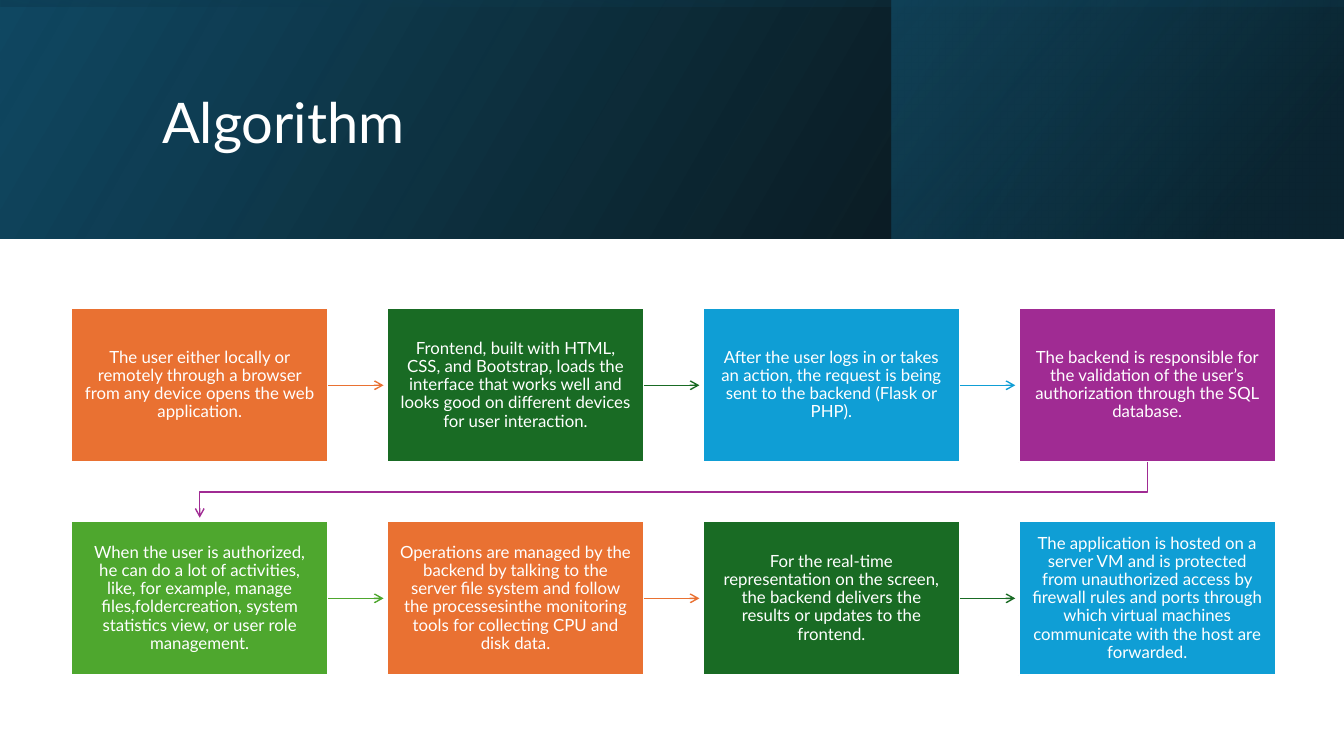
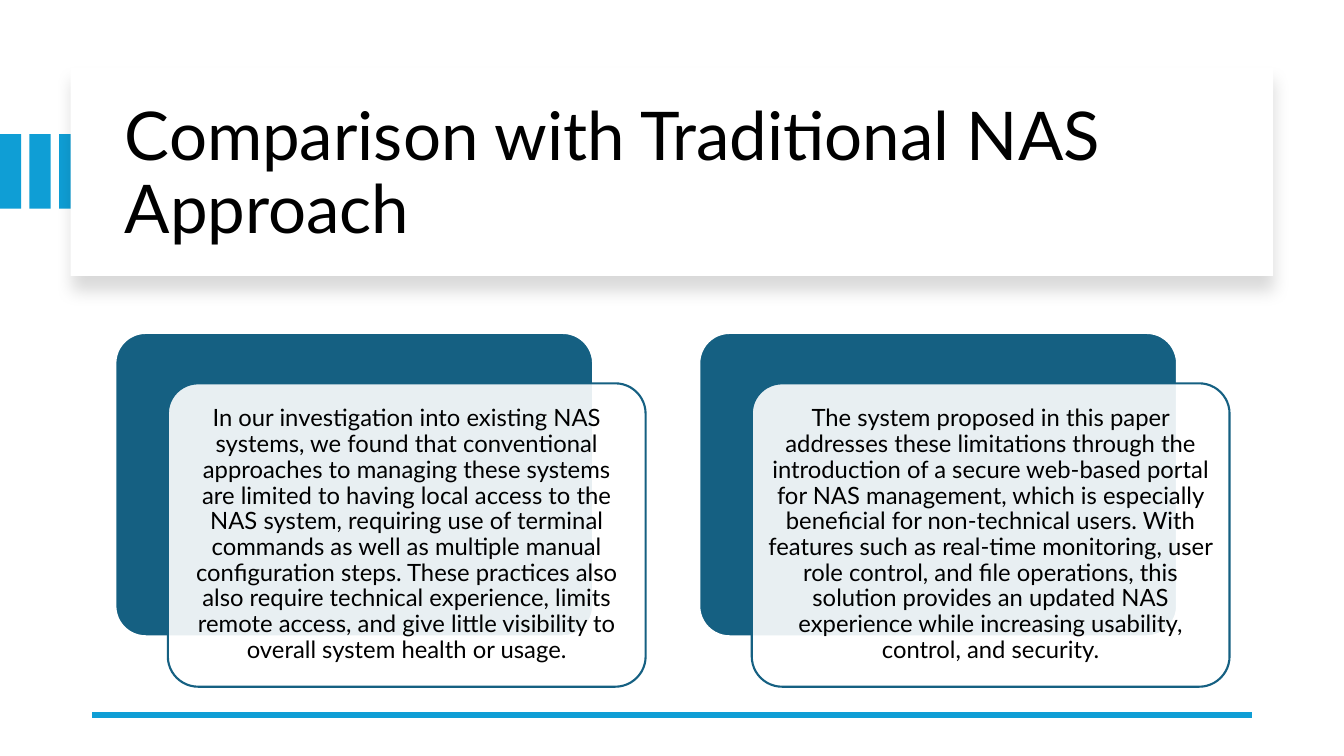
import pptx
import pptx.dml.color
import pptx.enum.shapes
import pptx.enum.text
import pptx.oxml
import pptx.oxml.ns
import pptx.util
from lxml import etree

Pt = pptx.util.Pt
SHAPES = pptx.enum.shapes.MSO_SHAPE
ALIGN = pptx.enum.text.PP_ALIGN
ANCHOR = pptx.enum.text.MSO_ANCHOR
qn = pptx.oxml.ns.qn

FONT = "Lato"
SLIDE_WIDTH, SLIDE_HEIGHT = 960, 540
COLORS = {
    "white": "FFFFFF", "black": "000000", "navy": "104862", "ink": "0B3041",
    "teal": "156082", "orange": "E97132", "forest": "196B24", "blue": "0F9ED5",
    "purple": "A02B93", "green": "4EA72E",
}

# Content
ALGORITHM_TITLE = "Algorithm"
STEPS = [
    ("orange", "The user either locally or remotely through a browser from any device "
               "opens the web application."),
    ("forest", "Frontend, built with HTML, CSS, and Bootstrap, loads the interface that "
               "works well and looks good on different devices for user interaction."),
    ("blue", "After the user logs in or takes an action, the request is being sent to "
             "the backend (Flask or PHP)."),
    ("purple", "The backend is responsible for the validation of the user’s "
               "authorization through the SQL database."),
    ("green", "When the user is authorized, he can do a lot of activities, like, for "
              "example, manage files,foldercreation, system statistics view, or user "
              "role management."),
    ("orange", "Operations are managed by the backend by talking to the server file "
               "system and follow the processesinthe monitoring tools for collecting "
               "CPU and disk data."),
    ("forest", "For the real-time representation on the screen, the backend delivers "
               "the results or updates to the frontend."),
    ("blue", "The application is hosted on a server VM and is protected from "
             "unauthorized access by firewall rules and ports through which virtual "
             "machines communicate with the host are forwarded."),
]
COMPARISON_TITLE = "Comparison with Traditional NAS Approach"
APPROACHES = [
    "In our investigation into existing NAS systems, we found that conventional "
    "approaches to managing these systems are limited to having local access to the "
    "NAS system, requiring use of terminal commands as well as multiple manual "
    "configuration steps. These practices also also require technical experience, "
    "limits remote access, and give little visibility to overall system health or usage.",
    "The system proposed in this paper addresses these limitations through the "
    "introduction of a secure web-based portal for NAS management, which is especially "
    "beneficial for non-technical users. With features such as real-time monitoring, "
    "user role control, and file operations, this solution provides an updated NAS "
    "experience while increasing usability, control, and security.",
]

# Header layers: left, top, width, height, rotation, gradient angle,
# then stops of (position, colour, opacity)
HEADER_HEIGHT = 170.7
SIDEWAYS = (SLIDE_WIDTH - HEADER_HEIGHT) / 2
HEADER_LAYERS = [
    (0, 0, SLIDE_WIDTH, HEADER_HEIGHT, 0, 330, [(0, "black", 96), (100, "navy", 100)]),
    (636.6, 0, 322.8, HEADER_HEIGHT, 0, 320, [(19, "ink", 68), (100, "teal", 48)]),
    (SIDEWAYS, -SIDEWAYS, HEADER_HEIGHT, SLIDE_WIDTH, 270, 350,
     [(23, "navy", 16), (99, "black", 45)]),
]
# The base layer fades to a fully opaque colour
OPAQUE = 100


def rgb(name):
    return pptx.dml.color.RGBColor.from_string(COLORS[name])


def set_opacity(color_element, percent):
    if percent < OPAQUE:
        alpha = etree.SubElement(color_element, qn("a:alpha"))
        alpha.set("val", str(percent * 1000))


def add_box(slide, left, top, width, height, fill=None, line=None, line_width=1.5,
            kind=SHAPES.RECTANGLE, opacity=OPAQUE):
    shape = slide.shapes.add_shape(kind, Pt(left), Pt(top), Pt(width), Pt(height))
    shape.shadow.inherit = False
    if fill:
        shape.fill.solid()
        shape.fill.fore_color.rgb = rgb(fill)
        set_opacity(shape.element.spPr.find(qn("a:solidFill"))[0], opacity)
    if line:
        shape.line.color.rgb = rgb(line)
        shape.line.width = Pt(line_width)
    else:
        shape.line.fill.background()
    return shape


def write_text(shape, text, size=12, color="white", align=ALIGN.CENTER, insets=(7.2, 3.6)):
    frame = shape.text_frame
    frame.word_wrap = True
    frame.vertical_anchor = ANCHOR.MIDDLE
    frame.margin_left = frame.margin_right = Pt(insets[0])
    frame.margin_top = frame.margin_bottom = Pt(insets[1])
    paragraph = frame.paragraphs[0]
    paragraph.alignment = align
    paragraph.line_spacing = 0.9
    run = paragraph.add_run()
    run.text = text
    run.font.name = FONT
    run.font.size = Pt(size)
    run.font.color.rgb = rgb(color)


def add_title(slide, text, left, top, width, height, size, color):
    title = slide.shapes.add_textbox(Pt(left), Pt(top), Pt(width), Pt(height))
    write_text(title, text, size=size, color=color, align=ALIGN.LEFT)


def add_line(slide, start, end, color, width):
    line = slide.shapes.add_connector(
        pptx.enum.shapes.MSO_CONNECTOR.STRAIGHT, *(Pt(value) for value in start + end))
    line.line.color.rgb = rgb(color)
    line.line.width = Pt(width)
    etree.SubElement(line.element.spPr, qn("a:effectLst"))
    return line


def add_arrowhead(shape):
    outline = shape.element.spPr.find(qn("a:ln"))
    etree.SubElement(outline, qn("a:tailEnd")).set("type", "arrow")


def add_gradient_layer(slide, left, top, width, height, rotation, angle, stops):
    layer = add_box(slide, left, top, width, height)
    layer.rotation = rotation
    layer.element.spPr.find(qn("a:xfrm")).set("flipH", "1")
    layer.fill.gradient()
    layer.fill.gradient_angle = 360 - angle
    elements = layer.element.spPr.iter(qn("a:gs"))
    for stop, element, (position, color, opacity) in zip(
            layer.fill.gradient_stops, elements, stops):
        stop.position = position / 100
        stop.color.rgb = rgb(color)
        set_opacity(element[0], opacity)


def add_soft_shadow(shape, opacity, blur, distance):
    effects = shape.element.spPr.find(qn("a:effectLst"))
    shadow = etree.SubElement(effects, qn("a:outerShdw"), blurRad=str(Pt(blur)),
                              dist=str(Pt(distance)), dir="5400000", rotWithShape="0")
    color = etree.SubElement(shadow, qn("a:srgbClr"), val=COLORS["black"])
    set_opacity(color, opacity)


def build_algorithm(slide):
    for layer in HEADER_LAYERS:
        add_gradient_layer(slide, *layer)
    add_title(slide, ALGORITHM_TITLE, 108.7, 27.4, 765.4, 123.8, 40, "white")

    # Step grid, with an arrow from each step to the next
    columns, left, top = 4, 51, 220.2
    width, height, column_pitch, row_pitch = 183.4, 110, 225.6, 152.2
    arrow_length = 39.6
    for index, (color, text) in enumerate(STEPS):
        row, column = divmod(index, columns)
        x, y = left + column * column_pitch, top + row * row_pitch
        step = add_box(slide, x, y, width, height, fill=color, line="white")
        write_text(step, text, insets=(9, 9.4))
        if index == len(STEPS) - 1:
            continue
        if column < columns - 1:
            middle = y + height / 2
            arrow = add_line(slide, (x + width, middle),
                             (x + width + arrow_length, middle), color, 1)
            arrow.begin_connect(step, 3)
        else:
            # Step down to the start of the next row
            center, first_center = x + width / 2, left + width / 2
            bottom, next_top = y + height, y + row_pitch
            turn = (bottom + next_top) / 2
            builder = slide.shapes.build_freeform(Pt(center), Pt(bottom))
            builder.add_line_segments(
                [(Pt(center), Pt(turn)), (Pt(first_center), Pt(turn)),
                 (Pt(first_center), Pt(next_top - 2.6))], close=False)
            arrow = builder.convert_to_shape()
            arrow.shadow.inherit = False
            arrow.fill.background()
            arrow.line.color.rgb = rgb(color)
            arrow.line.width = Pt(1)
        add_arrowhead(arrow)


def build_comparison(slide):
    # Accent bars and title card
    for index in range(3):
        add_box(slide, index * 21.1, 95.8, 15.2, 53.3, fill="blue")
    card = add_box(slide, 50.5, 48.2, 859, 149, fill="white")
    add_soft_shadow(card, opacity=15, blur=11, distance=10)
    add_title(slide, COMPARISON_TITLE, 82.1, 64.1, 801.4, 122.4, 48, "black")
    add_line(slide, (894.2, 510.6), (66, 510.6), "blue", 4.5)

    # Offset pairs of rounded panels
    left, top, width, height, pitch = 82.4, 237.8, 341.3, 216.7, 417.1
    offset_x, offset_y = 37.5, 36
    for index, text in enumerate(APPROACHES):
        x = left + index * pitch
        back = add_box(slide, x, top, width, height, fill="teal", line="white",
                       kind=SHAPES.ROUNDED_RECTANGLE)
        front = add_box(slide, x + offset_x, top + offset_y, width, height, fill="white",
                        line="teal", kind=SHAPES.ROUNDED_RECTANGLE, opacity=90)
        back.adjustments[0] = front.adjustments[0] = 0.1
        write_text(front, text, size=17, color="black", insets=(5, 5))


def main():
    presentation = pptx.Presentation()
    presentation.slide_width = Pt(SLIDE_WIDTH)
    presentation.slide_height = Pt(SLIDE_HEIGHT)
    for build in (build_algorithm, build_comparison):
        build(presentation.slides.add_slide(presentation.slide_layouts[6]))
    presentation.save("out.pptx")


if __name__ == "__main__":
    main()
